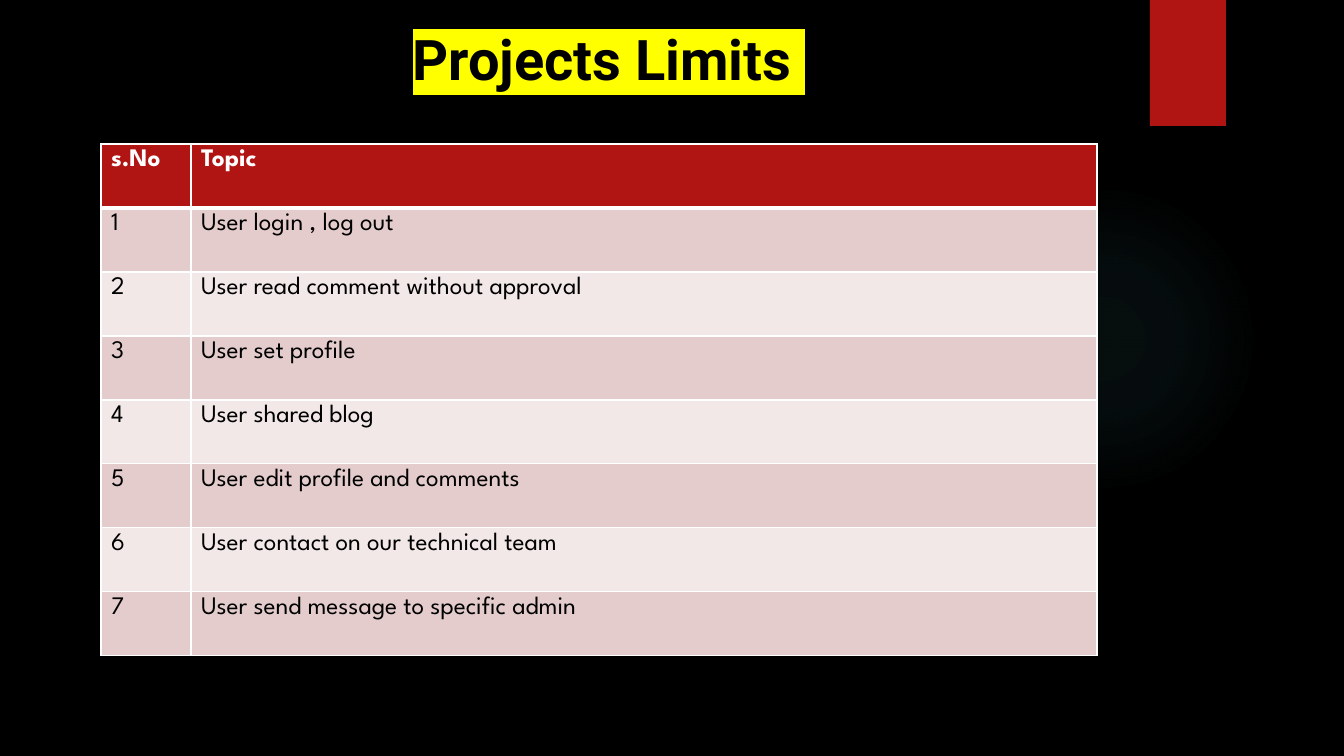
from lxml.etree import SubElement
from pptx import Presentation
from pptx.dml.color import RGBColor
from pptx.enum.shapes import MSO_SHAPE as Shape
from pptx.enum.text import MSO_ANCHOR as Anchor, MSO_AUTO_SIZE as AutoSize, PP_ALIGN as Align
from pptx.oxml import parse_xml
from pptx.oxml.ns import nsdecls, qn
from pptx.util import Pt

EMU_PER_PX = 914400 / 100.8
TOPICS = [
    "User login , log out",
    "User read comment without approval",
    "User set profile",
    "User shared blog",
    "User edit profile and comments",
    "User contact on our technical team",
    "User send message to specific admin",
]


def px(length):
    """Turn pixels into EMU."""
    return round(length * EMU_PER_PX)


def color(code):
    """Turn a hex string into a colour."""
    return RGBColor.from_string(code)


def write(frame, text, size=18, font="League Spartan", ink="000000", bold=False,
          align=Align.LEFT, highlight=None):
    """Put one formatted run into a text frame."""
    paragraph = frame.paragraphs[0]
    paragraph.alignment = align
    run = paragraph.add_run()
    run.text = text
    run.font.size, run.font.name, run.font.bold = Pt(size), font, bold
    run.font.color.rgb = color(ink)
    if highlight:
        marker = parse_xml(f'<a:highlight {nsdecls("a")}><a:srgbClr val="{highlight}"/></a:highlight>')
        run.font._element.find(qn("a:solidFill")).addnext(marker)


class SlideBuilder:
    """Holds the style and the current slide."""

    accent, glow, line = "B01513", "50B9C1", "FFFFFF"
    bands = ("E4CCCC", "F2E8E7")

    def __init__(self, presentation):
        """Add a title-only slide with a black background."""
        self.slide = presentation.slides.add_slide(presentation.slide_layouts[5])
        background = self.slide.background.fill
        background.solid()
        background.fore_color.rgb = color("000000")

    def shape(self, kind, *box):
        """Add a plain accent shape."""
        shape = self.slide.shapes.add_shape(kind, *map(px, box))
        shape.shadow.inherit = False
        shape.line.fill.background()
        shape.fill.solid()
        shape.fill.fore_color.rgb = color(self.accent)
        return shape

    def halo(self, *box):
        """Add a faint circle that fades towards its edge."""
        shape = self.shape(Shape.OVAL, *box)
        stops = "".join(
            f'<a:gs pos="{position}000"><a:srgbClr val="{self.glow}">'
            f'<a:alpha val="{alpha}000"/></a:srgbClr></a:gs>'
            for position, alpha in ((0, 7), (36, 6), (69, 0)))
        gradient = parse_xml(
            f'<a:gradFill {nsdecls("a")}><a:gsLst>{stops}</a:gsLst><a:path path="circle">'
            '<a:fillToRect l="50000" t="50000" r="50000" b="50000"/></a:path></a:gradFill>')
        properties = shape._element.spPr
        properties.replace(properties.find(qn("a:solidFill")), gradient)

    def title(self, text, *box):
        """Place the title on its highlight."""
        title = self.slide.shapes.title
        title.left, title.top, title.width, title.height = map(px, box)
        frame = title.text_frame
        frame.word_wrap = True
        frame.auto_size = AutoSize.NONE
        frame.vertical_anchor = Anchor.TOP
        frame.margin_top = px(9)
        write(frame, text, 40, "Roboto", bold=True, align=Align.CENTER, highlight="FFFF00")

    def cell(self, cell, text, fill, top, bottom, **style):
        """Border, fill and write one table cell."""
        properties = cell._tc.get_or_add_tcPr()
        for side, width in (("L", 1), ("R", 1), ("T", top), ("B", bottom)):
            border = SubElement(properties, qn(f"a:ln{side}"), w=str(Pt(width)))
            SubElement(SubElement(border, qn("a:solidFill")), qn("a:srgbClr"), val=self.line)
        cell.fill.solid()
        cell.fill.fore_color.rgb = color(fill)
        write(cell.text_frame, text, **style)

    def table(self, rows, left, top, widths, row_height):
        """Add a banded table under a header row."""
        table = self.slide.shapes.add_table(
            len(rows), len(widths), px(left), px(top),
            px(sum(widths)), px(row_height * len(rows))).table
        for column, width in zip(table.columns, widths):
            column.width = px(width)
        for index, values in enumerate(rows):
            table.rows[index].height = px(row_height)
            header = index == 0
            fill = self.accent if header else self.bands[(index - 1) % 2]
            ink = self.line if header else "000000"
            for column, text in enumerate(values):
                self.cell(table.cell(index, column), text, fill,
                          top=3 if index == 1 else 1, bottom=3 if header else 1,
                          ink=ink, bold=header)


def main():
    """Build and save the slide."""
    presentation = Presentation()
    presentation.slide_width, presentation.slide_height = px(1344), px(756)
    builder = SlideBuilder(presentation)
    builder.halo(949, 184, 310, 310)
    builder.shape(Shape.RECTANGLE, 1150, 0, 76, 126)
    builder.title("Projects Limits ", 277, 16, 664, 91)
    numbered = [(str(number), topic) for number, topic in enumerate(TOPICS, 1)]
    builder.table([("s.No", "Topic")] + numbered, 101, 144, (90, 906), 64)
    presentation.save("out.pptx")


if __name__ == "__main__":
    main()
